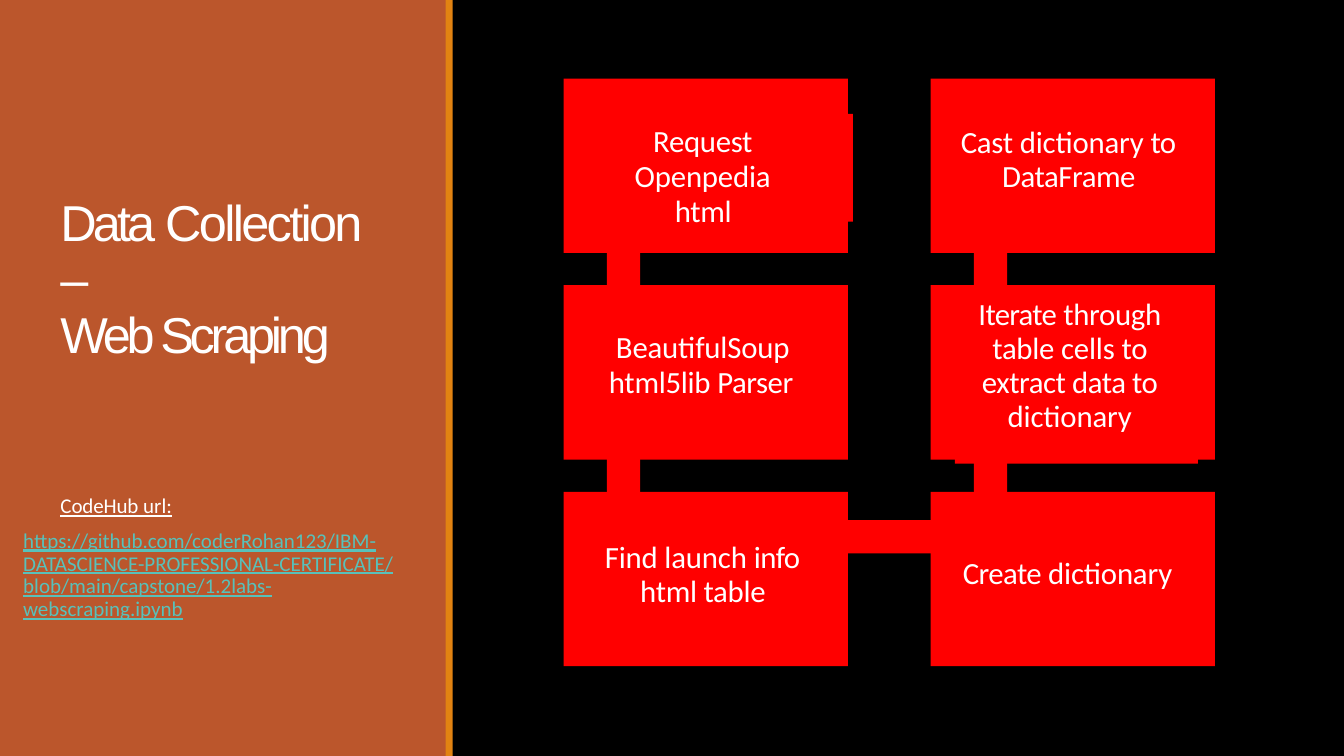
from pptx import Presentation
from pptx.dml.color import RGBColor
from pptx.enum.shapes import MSO_SHAPE
from pptx.enum.text import MSO_AUTO_SIZE, PP_ALIGN
from pptx.util import Emu, Inches, Pt

RECTANGLE = MSO_SHAPE.RECTANGLE
LEFT, CENTER = PP_ALIGN.LEFT, PP_ALIGN.CENTER
FIT_SHAPE = MSO_AUTO_SIZE.SHAPE_TO_FIT_TEXT

COLORS = {
    "background": "000000",
    "panel": "BB562C",
    "stripe": "E28312",
    "step": "FF0000",
    "text": "FFFFFF",
    "link": "58C1BA",
}
WIDTH, HEIGHT = 13.33, 7.5

# Step grid, in inches
GRID_LEFT, GRID_TOP = 5.59, 0.78
COLUMN_PITCH, ROW_PITCH = 3.64, 2.05
STEP_WIDTH, STEP_HEIGHT = 2.82, 1.73
BAR_SIZE, BAR_INSET, BAR_LENGTH = 0.33, 0.43, 2.12

TITLE = {"size": Pt(36), "name": "Arial"}
STEP = {"size": Pt(22), "name": "Calibri"}
NOTE = {"size": Pt(15), "name": "Calibri", "underline": True}

# Column, row, text area within the step, top inset, line spacing, paragraphs.
# A paragraph is (alignment, left margin, first-line indent, runs),
# and a run is (text, character spacing in points).
STEPS = [
    (0, 0, (0.22, 0.43, 2.32, 0.73), 0.01, Pt(25.2), [
        (CENTER, 0, 0, [("Request ", -0.2), ("Openpedia", -0.1)]),
        (CENTER, 0.01, 0, [("html", -0.2)])]),
    (0, 1, (0.44, 0.43, 1.87, 0.73), 0.01, Pt(25.2), [
        (LEFT, 0.08, 0, [("BeautifulSoup", -0.1)]),
        (LEFT, 0.01, 0, [("html5lib ", -0.2), ("Parser", -0.3)])]),
    (0, 2, (0.39, 0.43, 1.97, 0.73), 0.05, Pt(24.3), [
        (LEFT, 0.37, -0.35, [("Find launch ", -0.1), ("info ", -0.4),
                             ("html table", -0.2)])]),
    (1, 2, (0.31, 0.6, 2.13, 0.39), 0.01, 1.0, [
        (LEFT, 0.01, 0, [("Create ", -0.4), ("dictionary", -0.1)])]),
    (1, 1, (0.44, 0.09, 1.87, 1.4), 0.04, 0.92, [
        (CENTER, 0.01, 0, [("Iterate ", -0.5), ("through table ", -0.2),
                           ("cells ", -0.1), ("to extract data to ", -0.3),
                           ("dictionary", -0.1)])]),
    (1, 0, (0.29, 0.42, 2.17, 0.73), 0.05, Pt(24.2), [
        (LEFT, 0.42, -0.41, [("Cast ", -0.2), ("dictionary ", -0.1),
                             ("to ", -0.6), ("DataFrame", -0.3)])]),
]

# Plates that reach slightly past their step: column, row, area within the step
PLATES = [
    (0, 0, (0.03, 0.35, 2.84, 1.07)),
    (1, 1, (0.24, 0.02, 2.41, 1.75)),
]

# Text of the side panel: area, top inset, line spacing, format, colour, paragraphs
PANEL_TEXTS = [
    ((0.59, 1.93, 3.3, 1.14), 0.01, Pt(40.1), TITLE, "text", [
        (LEFT, 0.01, 0, [("Data ", -2.8), ("Collection ", -1.9), ("–", -2.1)]),
        (LEFT, 0.01, 0, [("Web Scraping", -3)])]),
    ((0.59, 4.88, 1.25, 0.27), 0.01, 1.0, NOTE, "text", [
        (LEFT, 0.01, 0, [("CodeHub", -0.1), (" ", -1.6), ("url:", 0)])]),
    ((0.22, 5.22, 3.92, 0.95), 0.04, 0.9, NOTE, "link", [
        (LEFT, 0.01, 0, [("https://github.com/coderRohan123/IBM-DATASCIENCE-"
                          "PROFESSIONAL-CERTIFICATE/blob/main/capstone/"
                          "1.2labs-webscraping.ipynb", 0)])]),
]


def rgb(name):
    return RGBColor.from_string(COLORS[name])


def step_area(column, row, inner):
    """Turn an area within a step into an area on the slide."""
    left, top, width, height = inner
    return (GRID_LEFT + column * COLUMN_PITCH + left,
            GRID_TOP + row * ROW_PITCH + top, width, height)


def add_block(page, area, color):
    block = page.shapes.add_shape(RECTANGLE, *map(Inches, area))
    block.shadow.inherit = False
    block.fill.solid()
    block.fill.fore_color.rgb = rgb(color)
    block.line.fill.background()


def add_text(page, area, inset, line_spacing, font_format, color, paragraphs):
    box = page.shapes.add_textbox(*map(Inches, area))
    frame = box.text_frame
    frame_format = {"word_wrap": True, "auto_size": FIT_SHAPE,
                    "margin_left": 0, "margin_right": 0,
                    "margin_top": Inches(inset), "margin_bottom": 0}
    for key, value in frame_format.items():
        setattr(frame, key, value)
    for index, (alignment, margin, indent, runs) in enumerate(paragraphs):
        para = frame.add_paragraph() if index else frame.paragraphs[0]
        para.alignment = alignment
        para.line_spacing = line_spacing
        properties = para._p.get_or_add_pPr()
        properties.set("marL", str(Emu(Inches(margin))))
        properties.set("indent", str(Emu(Inches(indent))))
        for text, spacing in runs:
            span = para.add_run()
            span.text = text
            for key, value in font_format.items():
                setattr(span.font, key, value)
            span.font.color.rgb = rgb(color)
            span._r.get_or_add_rPr().set("spc", str(round(spacing * 100)))


def add_bars(page):
    # Upright bars join the rows of each column
    for column in range(2):
        for row in range(2):
            inner = (BAR_INSET, BAR_INSET, BAR_SIZE, BAR_LENGTH)
            add_block(page, step_area(column, row, inner), "step")
    # One level bar joins the columns in the last row
    add_block(page, step_area(0, 2, (0.56, 0.28, 3.71, BAR_SIZE)), "step")


def main():
    deck = Presentation()
    deck.slide_width, deck.slide_height = Inches(WIDTH), Inches(HEIGHT)
    page = deck.slides.add_slide(deck.slide_layouts[6])
    page.background.fill.solid()
    page.background.fill.fore_color.rgb = rgb("background")

    # Side panel
    add_block(page, (0, 0, 4.43, HEIGHT), "panel")
    add_block(page, (4.42, 0, 0.07, HEIGHT), "stripe")
    for panel_text in PANEL_TEXTS:
        add_text(page, *panel_text)

    # Flow of steps
    add_bars(page)
    for column, row, inner in PLATES:
        add_block(page, step_area(column, row, inner), "step")
    for column, row, inner, inset, line_spacing, paragraphs in STEPS:
        add_block(page, step_area(column, row, (0, 0, STEP_WIDTH, STEP_HEIGHT)), "step")
        add_text(page, step_area(column, row, inner), inset, line_spacing,
                 STEP, "text", paragraphs)

    deck.save("out.pptx")


if __name__ == "__main__":
    main()
